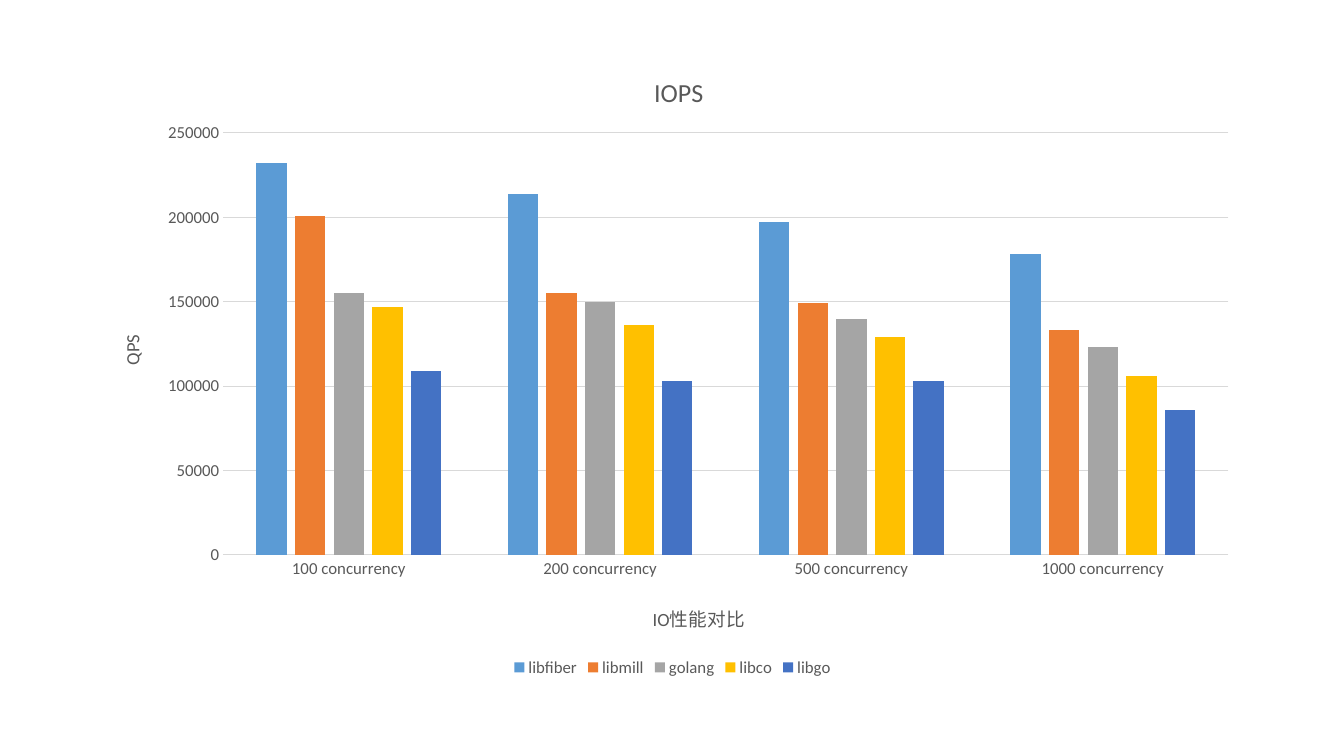
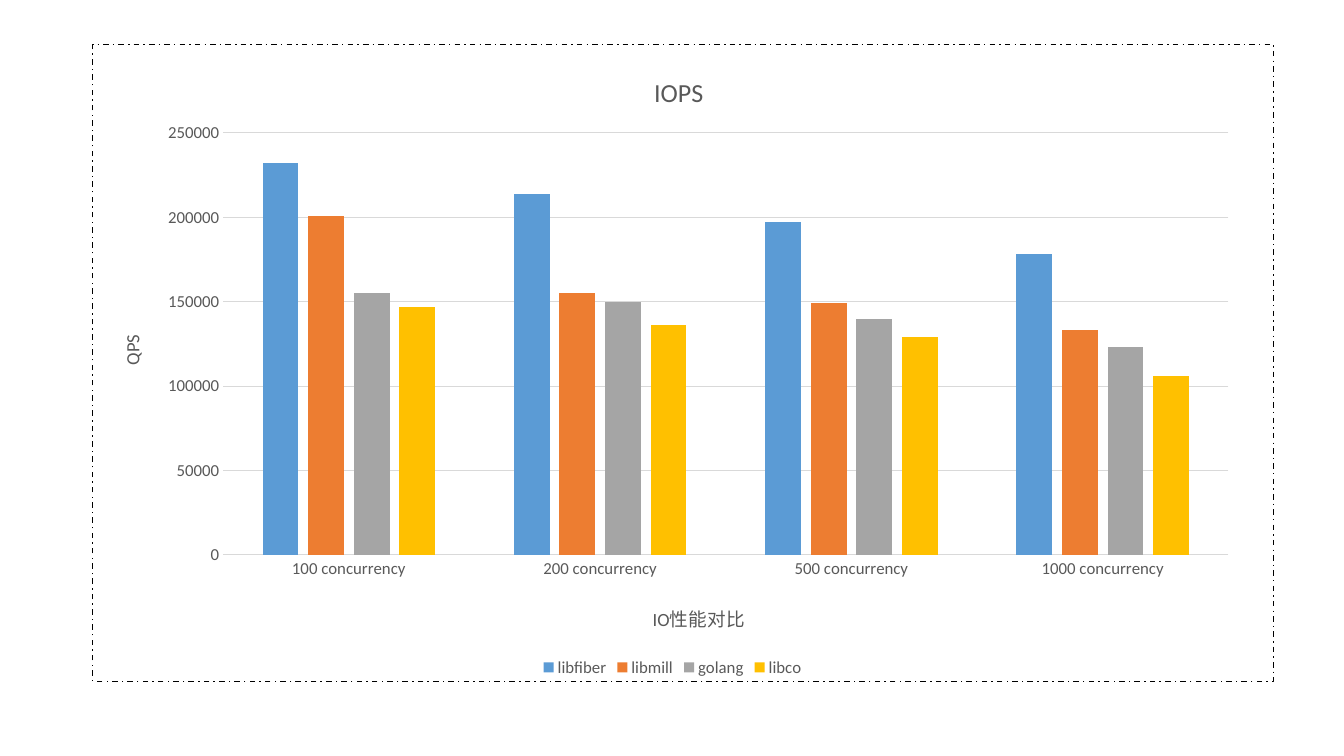
from dataclasses import dataclass

from lxml import etree
from pptx import Presentation
from pptx.chart.data import CategoryChartData
from pptx.dml.color import RGBColor
from pptx.enum import chart as charts, dml, shapes
from pptx.oxml.ns import qn
from pptx.util import Inches, Pt


# Shared look
@dataclass(frozen=True)
class Theme:
    font: str = "Calibri"
    text: str = "595959"
    rule: str = "D9D9D9"
    frame: str = "000000"
    title_size: float = 18.6
    axis_title_size: float = 13.3
    label_size: float = 12
    rule_width: float = 0.75
    frame_width: float = 1


THEME = Theme()
CHART_BOX = (0.92, 0.44, 11.5, 6.32)
FRAME_BOX = (0.92, 0.44, 11.71, 6.32)

# Benchmark results: library, colour, QPS at each concurrency
CONCURRENCY = [f"{count} concurrency" for count in (100, 200, 500, 1000)]
RESULTS = [
    ("libfiber", "5B9BD5", (232000, 214000, 197000, 178000)),
    ("libmill", "ED7D31", (201000, 155000, 149000, 133000)),
    ("golang", "A5A5A5", (155000, 150000, 140000, 123000)),
    ("libco", "FFC000", (147000, 136000, 129000, 106000)),
    ("libgo", "4472C4", (109000, 103000, 103000, 86000)),
]


def style_font(font, size):
    font.name = THEME.font
    font.size = Pt(size)
    font.bold = False
    font.color.rgb = RGBColor.from_string(THEME.text)


def style_line(line, color, width):
    line.color.rgb = RGBColor.from_string(color)
    line.width = Pt(width)


def place(element, **fractions):
    """Set a manual layout, in fractions of the chart's size."""
    for old in element.findall(qn("c:layout")):
        element.remove(old)
    wording = element.find(qn("c:tx"))
    layout = etree.Element(qn("c:layout"))
    element.insert(0 if wording is None else element.index(wording) + 1, layout)
    manual = etree.SubElement(layout, qn("c:manualLayout"))
    settings = {"xMode": "edge", "yMode": "edge", **fractions}
    if "w" in fractions:
        settings = {"layoutTarget": "inner", **settings}
    for tag, value in settings.items():
        etree.SubElement(manual, qn(f"c:{tag}")).set("val", str(value))


def write_title(title, wording, size, x, y):
    frame = title.text_frame
    frame.text = wording
    style_font(frame.paragraphs[0].runs[0].font, size)
    place(title._element, x=x, y=y)
    return frame


def style_axes(chart):
    for axis in (chart.category_axis, chart.value_axis):
        axis.major_tick_mark = charts.XL_TICK_MARK.NONE
        axis.minor_tick_mark = charts.XL_TICK_MARK.NONE
        style_font(axis.tick_labels.font, THEME.label_size)

    concurrency, qps = chart.category_axis, chart.value_axis
    style_line(concurrency.format.line, THEME.rule, THEME.rule_width)
    write_title(concurrency.axis_title, "IO性能对比", THEME.axis_title_size, 0.48, 0.87)

    qps.minimum_scale, qps.maximum_scale, qps.major_unit = 0, 250000, 50000
    qps.format.line.fill.background()
    style_line(qps.major_gridlines.format.line, THEME.rule, THEME.rule_width)
    heading = write_title(qps.axis_title, "QPS", THEME.axis_title_size, 0.02, 0.45)
    body = heading._txBody.find(qn("a:bodyPr"))
    body.set("rot", "-5400000")
    body.set("vert", "horz")


def add_iops_chart(slide, results):
    data = CategoryChartData(number_format="General")
    data.categories = CONCURRENCY
    for library, _, rates in results:
        data.add_series(library, rates)
    chart = slide.shapes.add_chart(
        charts.XL_CHART_TYPE.COLUMN_CLUSTERED, *map(Inches, CHART_BOX), data
    ).chart
    style_font(chart.font, THEME.label_size)
    write_title(chart.chart_title, "IOPS", THEME.title_size, 0.48, 0.04)
    style_axes(chart)

    # Columns
    columns = chart.plots[0]
    columns.gap_width, columns.overlap = 219, -27
    columns.vary_by_categories = False
    for series, (_, color, _) in zip(columns.series, results):
        series.format.fill.solid()
        series.format.fill.fore_color.rgb = RGBColor.from_string(color)
    plot_area = chart._chartSpace.chart.plotArea
    place(plot_area, x=0.1125, y=0.139, w=0.867, h=0.6625)

    # Legend
    chart.has_legend = True
    chart.legend.position = charts.XL_LEGEND_POSITION.BOTTOM
    chart.legend.include_in_layout = False
    style_font(chart.legend.font, THEME.label_size)


def add_frame(slide):
    frame = slide.shapes.add_shape(
        shapes.MSO_SHAPE.RECTANGLE, *map(Inches, FRAME_BOX)
    )
    frame.shadow.inherit = False
    frame.fill.background()
    style_line(frame.line, THEME.frame, THEME.frame_width)
    frame.line.dash_style = dml.MSO_LINE.DASH_DOT


def main():
    deck = Presentation()
    deck.slide_width, deck.slide_height = Inches(13.33), Inches(7.5)
    blank = deck.slide_layouts[6]

    # All five libraries
    add_iops_chart(deck.slides.add_slide(blank), RESULTS)

    # Without libgo, framed
    framed = deck.slides.add_slide(blank)
    add_iops_chart(framed, RESULTS[:-1])
    add_frame(framed)

    deck.save("out.pptx")


if __name__ == "__main__":
    main()
